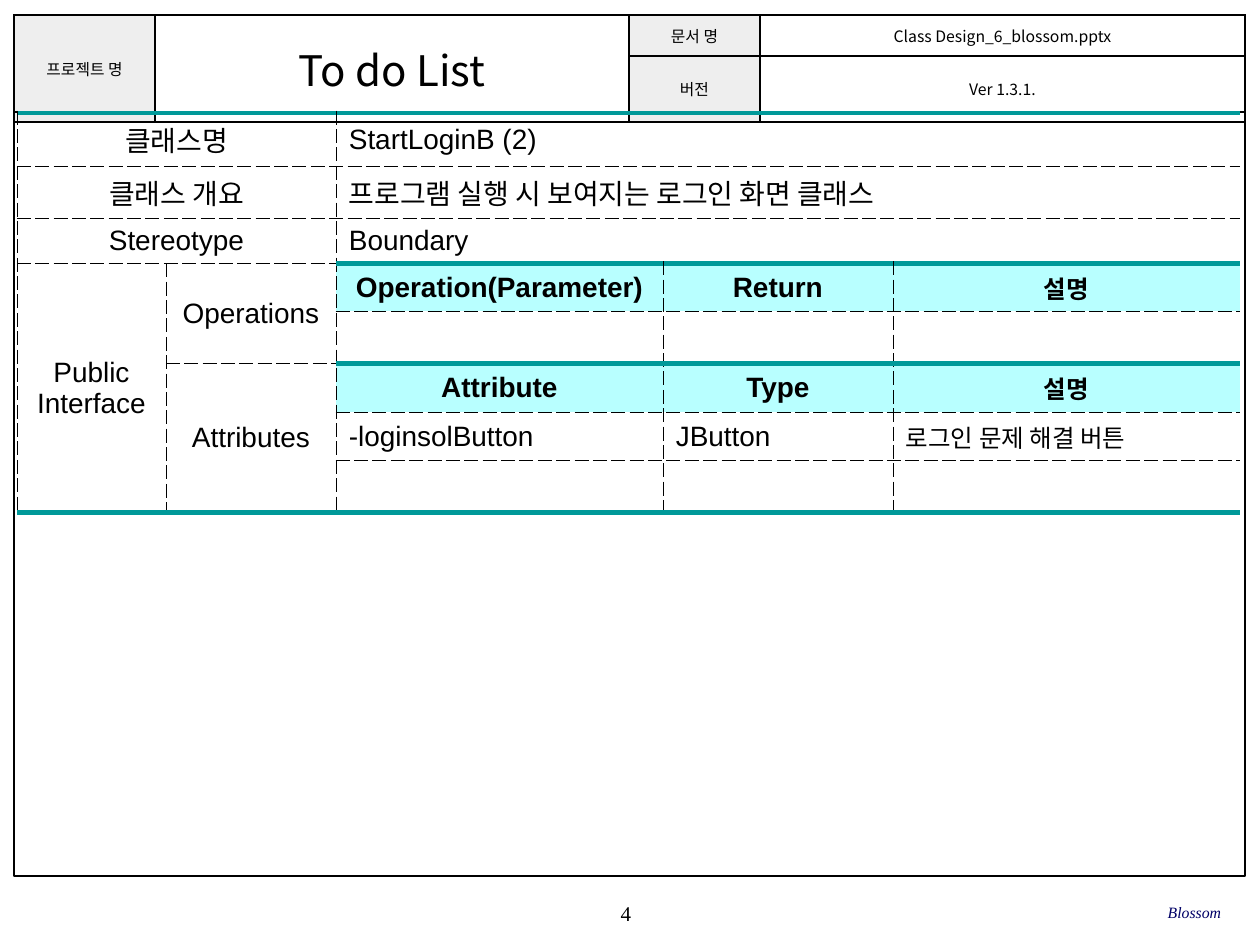
from dataclasses import dataclass

from lxml import etree
from pptx import Presentation
from pptx import util as u
from pptx.dml import color
from pptx.enum import shapes, text
from pptx.oxml import ns

SCALE = u.Inches(1) / 126
LEFT, MID, RIGHT = text.PP_ALIGN.LEFT, text.PP_ALIGN.CENTER, text.PP_ALIGN.RIGHT


@dataclass(frozen=True)
class Theme:
    black: str = "000000"
    grey: str = "EEEEEE"
    teal: str = "009999"
    cyan: str = "B8FFFF"
    navy: str = "000066"
    sans: str = "Arial"
    korean: str = "Noto Sans CJK KR"
    serif: str = "Times New Roman"
    small: int = 9
    page: int = 12
    note: int = 14
    body: int = 16
    head: int = 24


def px(num):
    return u.Emu(round(num * SCALE))


def apply(item, form):
    for key, val in form.items():
        setattr(item, key, val)


class Sheet:
    def __init__(self, slide, theme):
        self.slide = slide
        self.theme = theme

    def letter(self, frame, words, align, tint=None, **form):
        frame.text = words
        for para in frame.paragraphs:
            para.alignment = align
            for run in para.runs:
                apply(run.font, form)
                run.font.color.rgb = color.RGBColor.from_string(tint or self.theme.black)
                east = etree.SubElement(run._r.get_or_add_rPr(), ns.qn("a:ea"))
                east.set("typeface", self.theme.korean)
            if not words:
                para._p.get_or_add_endParaRPr().set("sz", str(self.theme.small * 100))

    def label(self, box, words, align, **form):
        frame = self.slide.shapes.add_textbox(*map(px, box)).text_frame
        apply(frame, dict(word_wrap=True, vertical_anchor=text.MSO_ANCHOR.MIDDLE,
                          margin_left=0, margin_right=0, margin_top=0, margin_bottom=0))
        self.letter(frame, words, align, **form)

    def frame(self, box):
        rect = self.slide.shapes.add_shape(shapes.MSO_SHAPE.RECTANGLE, *map(px, box))
        rect.shadow.inherit = False
        rect.fill.background()
        rect.line.color.rgb = color.RGBColor.from_string(self.theme.black)
        rect.line.width = u.Pt(0.75)

    def edge(self, cell, side, pen):
        line = etree.Element(ns.qn("a:ln" + side))
        if pen:
            tint, size, dash = pen
            line.set("w", str(u.Pt(size)))
            fill = etree.SubElement(line, ns.qn("a:solidFill"))
            etree.SubElement(fill, ns.qn("a:srgbClr")).set("val", tint)
            etree.SubElement(line, ns.qn("a:prstDash")).set("val", dash)
        else:
            etree.SubElement(line, ns.qn("a:noFill"))
        cell._tc.get_or_add_tcPr().insert("LRTB".index(side), line)

    def table(self, left, top, cols, rows, pad, cells, pens, **base):
        box = map(px, (left, top, sum(cols), sum(rows)))
        grid = self.slide.shapes.add_table(len(rows), len(cols), *box).table
        apply(grid, dict(first_row=False, horz_banding=False))
        for col, wide in zip(grid.columns, cols):
            col.width = px(wide)
        for row, high in zip(grid.rows, rows):
            row.height = px(high)
        wide, high = map(px, pad)
        for cell in grid.iter_cells():
            apply(cell, dict(margin_left=wide, margin_right=wide,
                             margin_top=high, margin_bottom=high,
                             vertical_anchor=text.MSO_ANCHOR.MIDDLE))
            cell.fill.background()
            self.letter(cell.text_frame, "", LEFT)
        spans = {}
        for (row, col), (words, span, align, fill, form) in cells.items():
            cell = grid.cell(row, col)
            if span != (1, 1):
                cell.merge(grid.cell(row + span[0] - 1, col + span[1] - 1))
            spans[row, col] = span
            self.letter(cell.text_frame, words, align, **{**base, **form})
            if fill:
                cell.fill.solid()
                cell.fill.fore_color.rgb = color.RGBColor.from_string(fill)
        for row in range(len(rows)):
            for col in range(len(cols)):
                cell = grid.cell(row, col)
                if cell.is_spanned:
                    continue
                down, over = spans.get((row, col), (1, 1))
                for side, pen in pens(row, col, row + down, col + over).items():
                    self.edge(cell, side, pen)


def entry(words, span=(1, 1), align=MID, fill=None, **form):
    return words, span, align, fill, form


def main():
    deck = Presentation()
    apply(deck, dict(slide_width=px(1260), slide_height=px(945)))
    look = Theme()
    sheet = Sheet(deck.slides.add_slide(deck.slide_layouts[6]), look)

    sheet.label((495, 892, 262, 42), "4", MID, name=look.serif, size=u.Pt(look.page))

    solid = (look.black, 1, "solid")
    sheet.table(14, 15, (141, 474, 131, 485), (41, 66), (5, 3), {
        (0, 0): entry("프로젝트 명", (2, 1), fill=look.grey),
        (0, 1): entry("To do List", (2, 1), size=u.Pt(look.head)),
        (0, 2): entry("문서 명", fill=look.grey),
        (0, 3): entry("Class Design_6_blossom.pptx"),
        (1, 2): entry("버전", fill=look.grey),
        (1, 3): entry("Ver 1.3.1."),
    }, lambda *span: dict.fromkeys("LRTB", solid), name=look.korean, size=u.Pt(look.small))

    sheet.frame((14, 112, 1231, 764))
    sheet.label((835, 891, 386, 42), "Blossom", RIGHT, tint=look.navy,
                name=look.serif, size=u.Pt(look.small), italic=True)

    thin, thick = (look.black, 0.25, "lgDash"), (look.teal, 3, "solid")

    def rule(line, col):
        return thick if line in (0, 8) or (line in (3, 5) and col >= 2) else thin

    def pens(top, left, low, right):
        return {"L": thin, "R": thin if right < 5 else None,
                "T": rule(top, left), "B": rule(low, left)}

    cells = {
        (3, 0): entry("Public\nInterface", (5, 1)),
        (3, 1): entry("Operations", (2, 1)),
        (5, 1): entry("Attributes", (3, 1)),
        (6, 2): entry("-loginsolButton", align=LEFT),
        (6, 3): entry("JButton", align=LEFT),
        (6, 4): entry("로그인 문제 해결 버튼", align=LEFT, size=u.Pt(look.note)),
    }
    facts = (("클래스명", "StartLoginB (2)"),
             ("클래스 개요", "프로그램 실행 시 보여지는 로그인 화면 클래스"),
             ("Stereotype", "Boundary"))
    for row, (key, val) in enumerate(facts):
        cells[row, 0] = entry(key, (1, 2))
        cells[row, 2] = entry(val, (1, 3), LEFT)
    for row, heads in ((3, ("Operation(Parameter)", "Return")), (5, ("Attribute", "Type"))):
        for col, head in enumerate(heads, 2):
            cells[row, col] = entry(head, fill=look.cyan, bold=True)
        cells[row, 4] = entry("설명", fill=look.cyan, bold=True, size=u.Pt(look.note))
    sheet.table(17, 113, (149, 170, 327, 230, 347), (53, 52, 44, 48, 52, 49, 48, 52),
                (13, 6), cells, pens, name=look.sans, size=u.Pt(look.body))

    deck.save("out.pptx")


if __name__ == "__main__":
    main()
